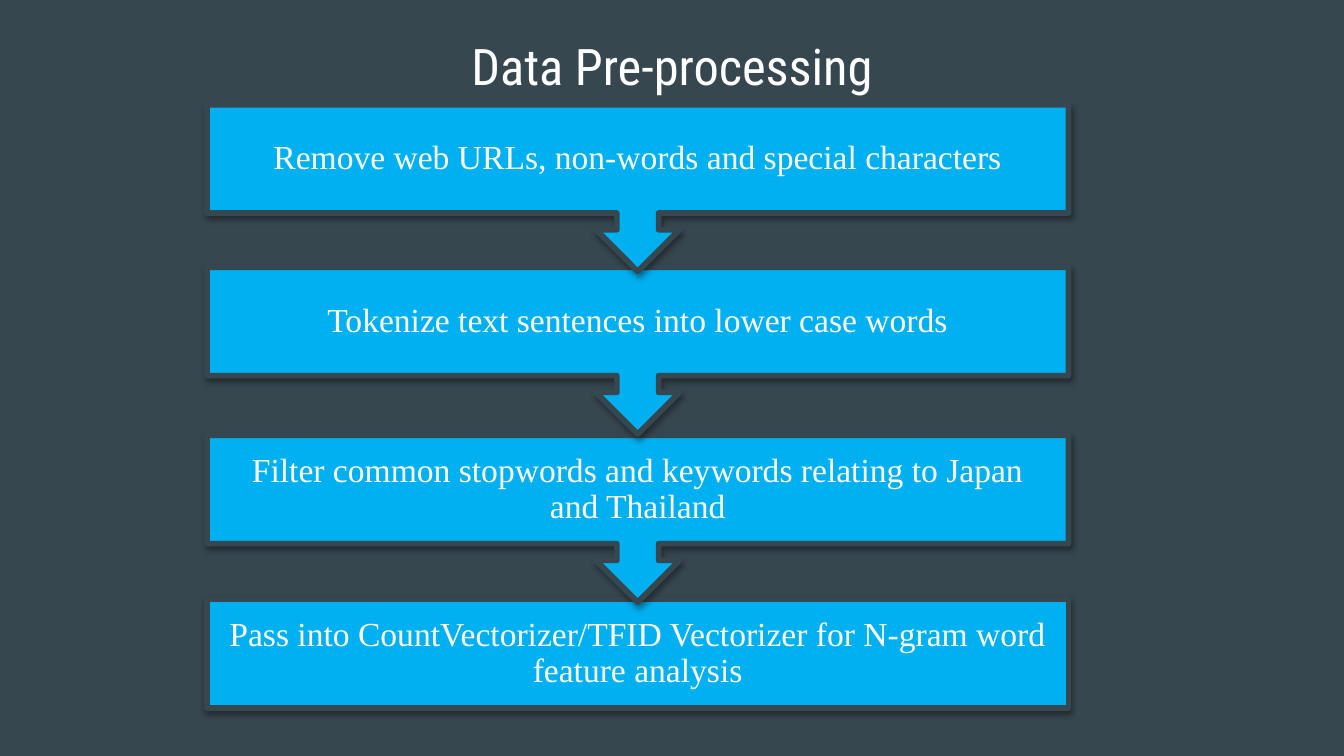
from dataclasses import dataclass

from lxml.etree import SubElement
from pptx import Presentation
from pptx.dml.color import RGBColor
from pptx.enum.shapes import MSO_SHAPE as Kind
from pptx.enum.text import MSO_ANCHOR as Anchor, PP_ALIGN as Align
from pptx.oxml.ns import qn
from pptx.util import Inches, Pt

COLORS = {"back": "37474F", "box": "00B0F0", "text": "FFFFFF", "shade": "000000"}
LEFT, WIDTH = 1.54, 6.41


@dataclass
class Step:
    text: str
    top: float
    height: float = 1.24
    kind: Kind = Kind.DOWN_ARROW_CALLOUT


STEPS = [
    Step("Remove web URLs, non-words and special characters", 0.78),
    Step("Tokenize text sentences into lower case words", 1.99),
    Step("Filter common stopwords and keywords relating to Japan and Thailand", 3.24),
    Step("Pass into CountVectorizer/TFID Vectorizer for N-gram word feature analysis",
         4.46, 0.81, Kind.RECTANGLE),
]


def color(name: str) -> RGBColor:
    return RGBColor.from_string(COLORS[name])


def write(shape, text: str, font: str, size: float, inset: float, anchor: Anchor):
    frame = shape.text_frame
    frame.word_wrap = True
    frame.vertical_anchor = anchor
    frame.margin_left = frame.margin_right = Inches(inset)
    frame.margin_top = frame.margin_bottom = Inches(inset)
    para = frame.paragraphs[0]
    para.text = text
    para.alignment = Align.CENTER
    para.font.name = font
    para.font.size = Pt(size)
    para.font.color.rgb = color("text")
    return para


def add_shade(shape) -> None:
    shape.shadow.inherit = False
    effects = shape._element.spPr.find(qn("a:effectLst"))
    outer = SubElement(effects, qn("a:outerShdw"), blurRad=str(Pt(3.1)),
                       dist=str(Pt(1.6)), dir="5400000", rotWithShape="0")
    tone = SubElement(outer, qn("a:srgbClr"), val=COLORS["shade"])
    SubElement(tone, qn("a:alpha"), val="38000")


def add_step(slide, step: Step) -> None:
    shape = slide.shapes.add_shape(step.kind, Inches(LEFT), Inches(step.top),
                                   Inches(WIDTH), Inches(step.height))
    shape.fill.solid()
    shape.fill.fore_color.rgb = color("box")
    shape.line.color.rgb = color("back")
    shape.line.width = Pt(3)
    add_shade(shape)
    para = write(shape, step.text, "Times New Roman", 18, 0.14, Anchor.MIDDLE)
    para.line_spacing = 0.9


def main() -> None:
    """Build the data pre-processing flow slide."""
    deck = Presentation()
    deck.slide_width, deck.slide_height = Inches(10), Inches(10) * 9 // 16
    slide = deck.slides.add_slide(deck.slide_layouts[6])
    slide.background.fill.solid()
    slide.background.fill.fore_color.rgb = color("back")
    title = slide.shapes.add_textbox(Inches(0.34), Inches(0.16), Inches(9.32), Inches(0.63))
    write(title, "Data Pre-processing", "Roboto Condensed", 27, 0.1, Anchor.TOP)
    for step in reversed(STEPS):
        add_step(slide, step)
    deck.save("out.pptx")


if __name__ == "__main__":
    main()
